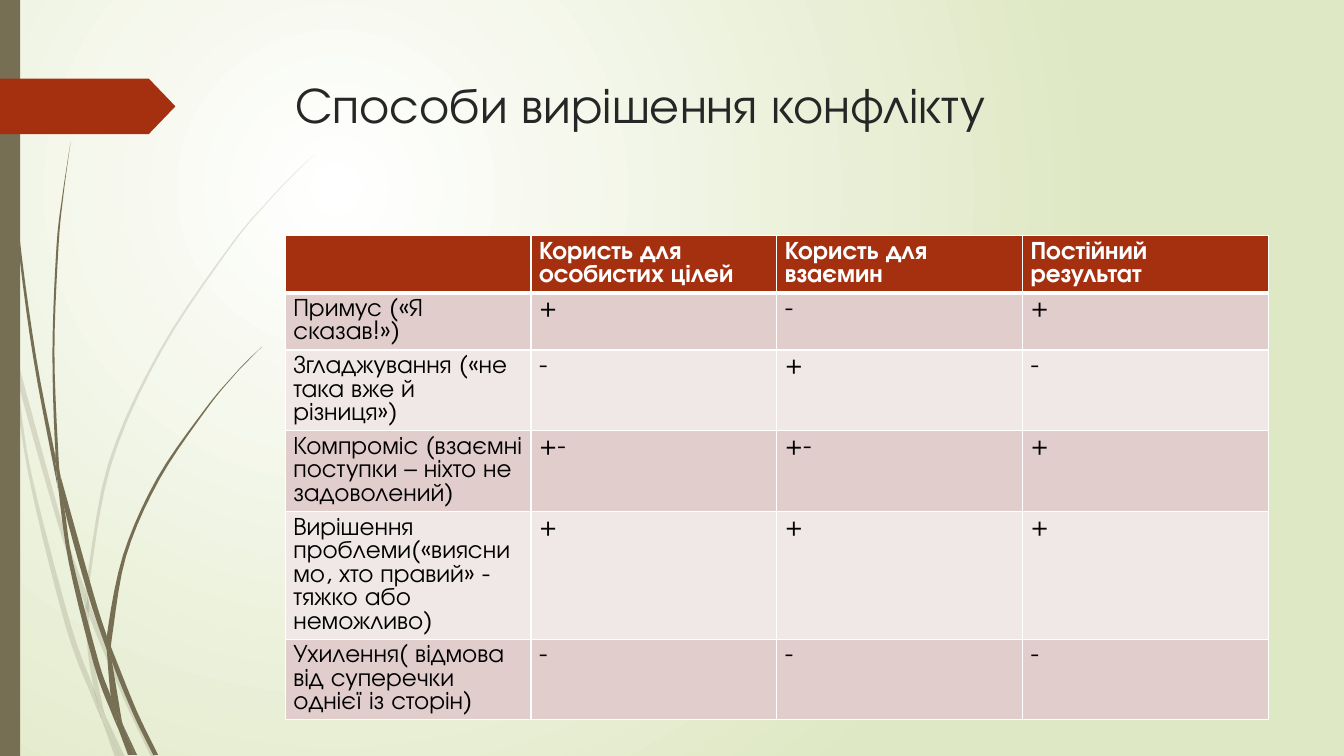
import lxml.etree
import pptx
import pptx.dml.color
import pptx.enum.shapes
import pptx.enum.text
import pptx.oxml
import pptx.oxml.ns
import pptx.util

Inches = pptx.util.Inches
Pt = pptx.util.Pt
RGBColor = pptx.dml.color.RGBColor
qn = pptx.oxml.ns.qn

FONT = "TeX Gyre Adventor"
WHITE = RGBColor(0xFF, 0xFF, 0xFF)
BLACK = RGBColor(0, 0, 0)
INK = RGBColor(0x26, 0x26, 0x26)
GREEN = RGBColor(0xDF, 0xE8, 0xC4)
OLIVE = RGBColor(0x76, 0x6F, 0x54)
RED = RGBColor(0xA5, 0x30, 0x10)
ROSE = RGBColor(0xE1, 0xCD, 0xCC)
PALE = RGBColor(0xF0, 0xE8, 0xE7)


def smooth(knots):
    """Points of a smooth curve through the knots, in EMU."""
    ends = [knots[0]] + knots + [knots[-1]]
    curve = []
    for a, b, c, d in zip(ends, ends[1:], ends[2:], ends[3:]):
        for t in (0, 0.2, 0.4, 0.6, 0.8):
            curve.append(tuple(
                Inches(q + t * (r - p) / 2 + t**2 * (2 * p - 5 * q + 4 * r - s) / 2
                       + t**3 * (3 * q - p - 3 * r + s) / 2)
                for p, q, r, s in zip(a, b, c, d)))
    return curve + [tuple(Inches(v) for v in knots[-1])]


def paint(shape, color):
    shape.fill.solid()
    shape.fill.fore_color.rgb = color
    shape.line.fill.background()
    shape.shadow.inherit = False


deck = pptx.Presentation()
deck.slide_width = Inches(13.33)
deck.slide_height = Inches(7.5)
slide = deck.slides.add_slide(deck.slide_layouts[5])
shapes = slide.shapes

# Background: white glow fading to green
back = slide.background.fill
back.gradient()
for stop, color in zip(back.gradient_stops, (WHITE, GREEN)):
    stop.color.rgb = color
for lin in list(slide.element.iter(qn("a:lin"))):
    glow = lxml.etree.Element(qn("a:path"), path="circle")
    lxml.etree.SubElement(glow, qn("a:fillToRect"),
                          l="50000", t="50000", r="100000", b="100000")
    lin.getparent().replace(lin, glow)

# Grass: each piece has one edge going down and one going up
faint = [
    ([(0, 2.82), (0.09, 3.22), (0.11, 3.5)], [(0.1, 3.44), (0, 2.99)]),
    ([(0.14, 3.45), (0.17, 3.76), (0.58, 5.22), (0.84, 5.99)],
     [(0.85, 5.86), (0.62, 5.2), (0.14, 3.45)]),
    ([(0.88, 5.96), (0.88, 6.1), (1.23, 6.94), (1.5, 7.51)],
     [(1.55, 7.51), (1.27, 6.92), (0.92, 6.07), (0.88, 5.96)]),
    ([(1.05, 7.11), (1.19, 7.51)], [(1.24, 7.51), (1.05, 7.11)]),
    ([(0.11, 3.5), (0.28, 4.7), (0.65, 6.21), (0.92, 6.93), (1.01, 7.14)],
     [(0.99, 7.07), (0.93, 6.83), (0.7, 6.19), (0.31, 4.69), (0.17, 3.76), (0.11, 3.5)]),
    ([(0.84, 5.99), (0.87, 6.46), (0.93, 6.83), (0.96, 6.92), (1.05, 7.11)],
     [(1.03, 7.06), (0.91, 6.46), (0.88, 6.1), (0.84, 5.99)]),
    ([(3.12, 1.53), (2.89, 1.75), (2.68, 1.97), (2.28, 2.44), (1.58, 3.48),
      (1.07, 4.61), (0.85, 5.84)],
     [(0.88, 5.96), (0.88, 5.84), (1.1, 4.62), (1.6, 3.49), (2.29, 2.45),
      (2.68, 1.98), (2.9, 1.75), (3.12, 1.53)]),
    ([(1.01, 7.14), (1.14, 7.51)], [(1.19, 7.51), (1.01, 7.14)]),
    ([(0.85, 5.86), (0.84, 5.99), (0.88, 6.08)], [(0.88, 6.1), (0.88, 5.96), (0.85, 5.86)]),
    ([(0.93, 6.83), (0.99, 7.07), (1.01, 7.14), (1.19, 7.51)],
     [(1.19, 7.51), (1.05, 7.11), (0.96, 6.92), (0.93, 6.83)]),
]
dark = [
    ([(0.03, 0), (0.04, 0.48), (0.07, 1.1), (0.17, 2.33), (0.33, 3.55),
      (0.56, 4.77), (0.57, 4.81)],
     [(0.55, 4.57), (0.55, 4.53), (0.36, 3.55), (0.19, 2.32), (0.08, 1.09),
      (0.05, 0.48), (0.04, 0)]),
    ([(0.6, 4.72), (0.64, 5.05), (0.88, 5.92), (1.06, 6.45)],
     [(1.06, 6.33), (1.06, 6.31), (0.93, 5.9), (0.6, 4.72)]),
    ([(1.1, 6.41), (1.11, 6.56), (1.32, 7.08), (1.52, 7.49)],
     [(1.57, 7.49), (1.36, 7.06), (1.13, 6.49), (1.1, 6.41)]),
    ([(0.57, 4.77), (0.68, 5.57), (0.93, 6.59), (1.11, 7.08), (1.17, 7.22)],
     [(1.16, 7.17), (1.1, 6.91), (0.98, 6.57), (0.72, 5.56), (0.64, 5.05), (0.57, 4.77)]),
    ([(0.7, 1.41), (0.62, 1.93), (0.56, 2.45), (0.52, 3.49), (0.55, 4.49), (0.6, 4.72)],
     [(0.6, 4.72), (0.58, 4.53), (0.54, 3.49), (0.58, 2.45), (0.63, 1.93), (0.7, 1.41)]),
    ([(1.22, 7.19), (1.33, 7.49)], [(1.36, 7.49), (1.22, 7.19)]),
    ([(0.55, 4.49), (0.55, 4.53), (0.57, 4.77), (0.64, 5.05)],
     [(0.6, 4.72), (0.55, 4.49)]),
    ([(2.6, 3.44), (2.45, 3.58), (2.31, 3.73), (2.04, 4.05), (1.56, 4.74),
      (1.22, 5.51), (1.06, 6.31), (1.1, 6.41)],
     [(1.11, 6.33), (1.25, 5.52), (1.58, 4.76), (2.05, 4.06), (2.31, 3.74),
      (2.45, 3.59), (2.6, 3.44)]),
    ([(1.17, 7.22), (1.27, 7.49)], [(1.31, 7.49), (1.17, 7.22)]),
    ([(1.06, 6.45), (1.1, 6.91), (1.16, 7.06), (1.22, 7.19)],
     [(1.21, 7.16), (1.11, 6.56), (1.09, 6.51), (1.06, 6.45)]),
    ([(1.06, 6.31), (1.06, 6.45), (1.09, 6.51), (1.11, 6.56)],
     [(1.1, 6.41), (1.06, 6.31)]),
    ([(1.1, 6.91), (1.16, 7.17), (1.17, 7.22), (1.3, 7.49)],
     [(1.33, 7.49), (1.22, 7.19), (1.16, 7.06), (1.1, 6.91)]),
]
for alpha, blades in ((20, faint), (100, dark)):
    for down, up in blades:
        edge = smooth(down) + smooth(up)
        pen = shapes.build_freeform(*edge[0])
        pen.add_line_segments(edge[1:])
        blade = pen.convert_to_shape()
        paint(blade, OLIVE)
        if alpha < 100:
            tint = blade.fill._xPr.find(qn("a:solidFill"))[0]
            lxml.etree.SubElement(tint, qn("a:alpha"), val=str(alpha * 1000))

# Side bar and red arrow
kinds = pptx.enum.shapes.MSO_SHAPE
bar = shapes.add_shape(kinds.RECTANGLE, 0, 0, Inches(0.2), Inches(7.5))
paint(bar, OLIVE)
arrow = shapes.add_shape(kinds.PENTAGON, 0, Inches(0.78), Inches(1.74), Inches(0.55))
arrow.adjustments[0] = 0.48
paint(arrow, RED)

# Title
title = shapes.title
title.left, title.top = Inches(2.83), Inches(0.68)
title.width, title.height = Inches(9.75), Inches(1.4)
frame = title.text_frame
frame.text = "Способи вирішення конфлікту"
frame.vertical_anchor = pptx.enum.text.MSO_ANCHOR.TOP
frame.paragraphs[0].alignment = pptx.enum.text.PP_ALIGN.LEFT
font = frame.paragraphs[0].runs[0].font
font.name, font.size = FONT, Pt(36)
font.color.rgb = INK

# Table of ways and gains
rows = [
    ("", "Користь для особистих цілей", "Користь для взаємин", "Постійний результат"),
    ("Примус («Я сказав!»)", "+", "-", "+"),
    ("Згладжування («не така вже й різниця»)", "-", "+", "-"),
    ("Компроміс (взаємні поступки – ніхто не задоволений)", "+-", "+-", "+"),
    ("Вирішення проблеми(«вияснимо, хто правий» - тяжко або неможливо)", "+", "+", "+"),
    ("Ухилення( відмова від суперечки однієї із сторін)", "-", "-", "-"),
]
table = shapes.add_table(len(rows), 4, Inches(2.83), Inches(2.34),
                         Inches(9.75), Inches(2.46)).table
table.horz_banding = False
for y, row in enumerate(rows):
    table.rows[y].height = Inches(0.41)
    for x, text in enumerate(row):
        cell = table.cell(y, x)
        cell.margin_left = cell.margin_right = Inches(0.08)
        cell.margin_top = cell.margin_bottom = Inches(0.05)
        cell.fill.solid()
        cell.fill.fore_color.rgb = RED if y == 0 else (PALE, ROSE)[y % 2]
        cell.text_frame.text = text
        for run in cell.text_frame.paragraphs[0].runs:
            run.font.name, run.font.size = FONT, Pt(18)
            run.font.bold = y == 0
            run.font.color.rgb = WHITE if y == 0 else BLACK
        # White borders, thick under the head row
        thick = {("T", 1), ("B", 0)}
        for i, side in enumerate("LRTB"):
            width = Pt(3 if (side, y) in thick else 1)
            line = lxml.etree.Element(qn("a:ln" + side), w=str(width))
            fill = lxml.etree.SubElement(line, qn("a:solidFill"))
            lxml.etree.SubElement(fill, qn("a:srgbClr"), val=str(WHITE))
            cell._tc.get_or_add_tcPr().insert(i, line)

deck.save("out.pptx")
